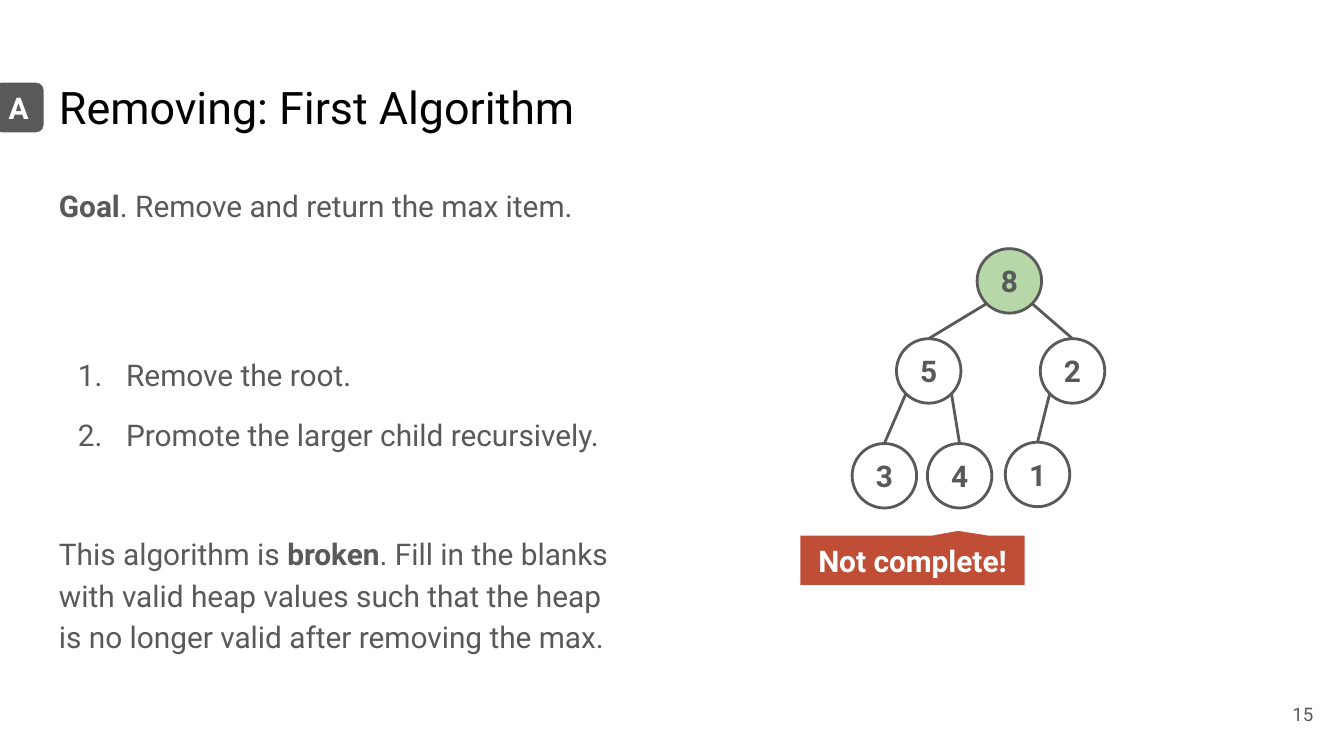
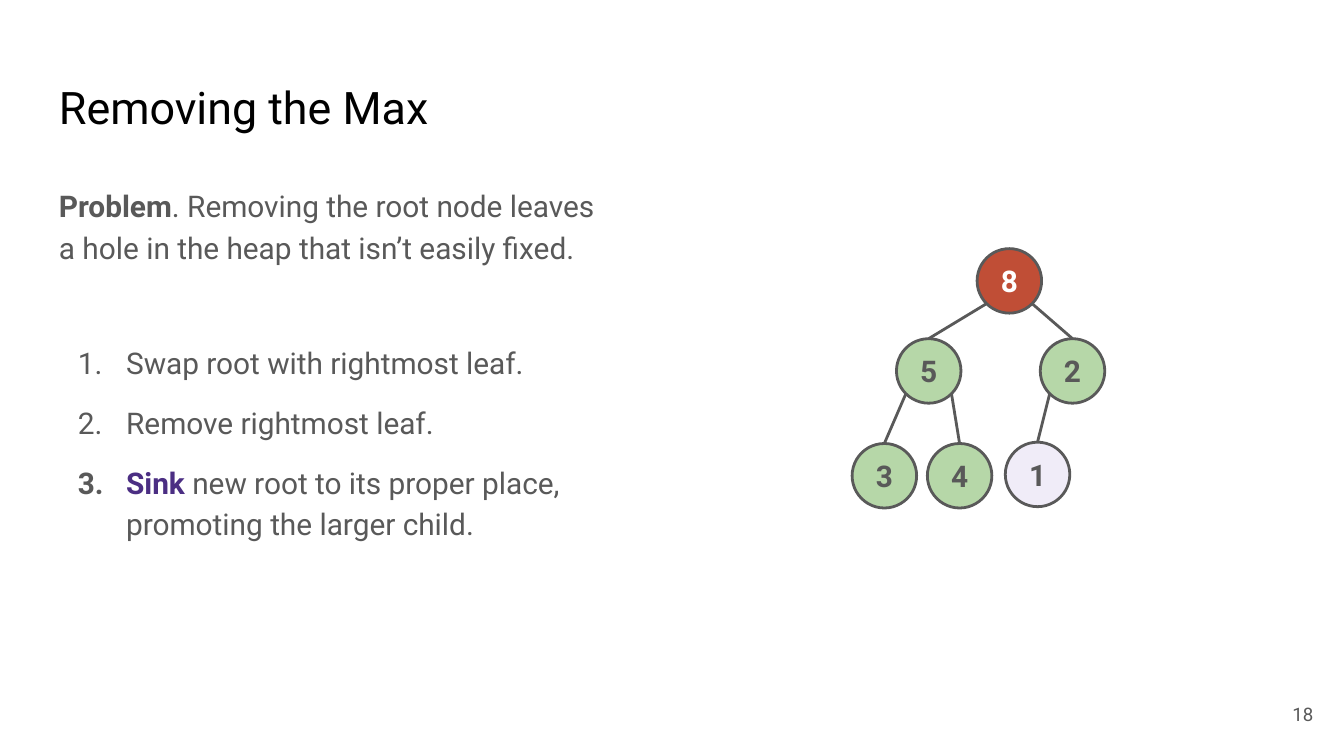
import dataclasses
import math

import lxml.etree
import pptx
import pptx.dml.color
import pptx.enum.shapes
import pptx.enum.text
import pptx.oxml.ns
import pptx.util

SHAPE = pptx.enum.shapes.MSO_SHAPE
ALIGN = pptx.enum.text.PP_ALIGN
ANCHOR = pptx.enum.text.MSO_ANCHOR


@dataclasses.dataclass(frozen=True)
class Theme:
    font: str = "Roboto"
    black: str = "000000"
    gray: str = "595959"
    white: str = "FFFFFF"
    green: str = "B6D7A8"
    red: str = "C04E36"
    purple: str = "4B2E83"
    lilac: str = "F0ECF8"
    title_size: int = 24
    body_size: int = 16
    footer_size: int = 10
    thin: float = 1.5
    thick: float = 2.25
    line_spacing: float = 1.15


@dataclasses.dataclass(frozen=True)
class Box:
    column: float
    row: float
    columns: float
    rows: float

    def inner(self, column, row, columns, rows):
        return Box(self.column + column, self.row + row, columns, rows)

    def emu(self):
        return [cells(value) for value in dataclasses.astuple(self)]


THEME = Theme()
GRID_COLUMNS, GRID_ROWS = 100, 56.25
TITLE = Box(3.4, 4.9, 43.2, 6.3)
BODY = Box(3.4, 12.6, 43.2, 37.4)
PAGE_NUMBER = Box(92.7, 51, 6, 4.3)
BADGE = Box(-0.6, 6, 4, 4)
TREE = Box(63.4, 18.5, 18.8, 19.3)
CALLOUT = Box(59.4, 39.7, 17, 4)

NODE_SIZE = 4.8
NODES = {
    "8": (9.3, 0),
    "5": (3.3, 6.7),
    "2": (14, 6.7),
    "3": (0, 14.5),
    "4": (5.6, 14.5),
    "1": (11.4, 14.4),
}
EDGES = [("8", "5", -1), ("8", "2", 1), ("5", "3", -1), ("5", "4", 1), ("2", "1", -1)]


def cells(count):
    return pptx.util.Inches(count / 10)


def rgb(value):
    return pptx.dml.color.RGBColor.from_string(value)


def apply(target, **values):
    for name, value in values.items():
        setattr(target, name, value)


def add_runs(paragraph, runs, size, color):
    for text, style in runs:
        run = paragraph.add_run()
        run.text = text
        apply(run.font, name=THEME.font, size=pptx.util.Pt(size), bold=style.get("bold", False))
        run.font.color.rgb = rgb(style.get("color", color))


def prepare_frame(shape, anchor):
    inset = cells(1)
    apply(
        shape.text_frame,
        word_wrap=True,
        vertical_anchor=anchor,
        margin_left=inset,
        margin_right=inset,
        margin_top=inset,
        margin_bottom=inset,
    )
    return shape.text_frame


def add_label(slide, box, text, size, color, align=ALIGN.LEFT, anchor=ANCHOR.TOP):
    frame = prepare_frame(slide.shapes.add_textbox(*box.emu()), anchor)
    frame.paragraphs[0].alignment = align
    add_runs(frame.paragraphs[0], [(text, {})], size, color)


def add_filled(shapes, kind, box, text, fill, color, line, line_width, adjustments=()):
    shape = shapes.add_shape(kind, *box.emu())
    shape.shadow.inherit = False
    for index, value in enumerate(adjustments):
        shape.adjustments[index] = value
    shape.fill.solid()
    shape.fill.fore_color.rgb = rgb(fill)
    shape.line.color.rgb = rgb(line)
    shape.line.width = pptx.util.Pt(line_width)
    paragraph = prepare_frame(shape, ANCHOR.MIDDLE).paragraphs[0]
    paragraph.alignment = ALIGN.CENTER
    add_runs(paragraph, [(text, {"bold": True})], THEME.body_size, color)


def number_paragraph(paragraph):
    properties = paragraph._p.get_or_add_pPr()
    properties.set("marL", str(pptx.util.Inches(0.5)))
    properties.set("indent", str(pptx.util.Inches(-0.36)))
    qualified = pptx.oxml.ns.qn
    color = lxml.etree.SubElement(properties, qualified("a:buClr"))
    lxml.etree.SubElement(color, qualified("a:srgbClr"), val=THEME.gray)
    lxml.etree.SubElement(properties, qualified("a:buAutoNum"), type="arabicPeriod")


def add_body(slide, box, paragraphs):
    frame = prepare_frame(slide.shapes.add_textbox(*box.emu()), ANCHOR.TOP)
    for index, (numbered, space_before, runs) in enumerate(paragraphs):
        paragraph = frame.add_paragraph() if index else frame.paragraphs[0]
        if numbered:
            number_paragraph(paragraph)
        apply(
            paragraph,
            line_spacing=THEME.line_spacing,
            space_before=pptx.util.Pt(space_before),
        )
        add_runs(paragraph, runs, THEME.body_size, THEME.gray)


def add_edge(shapes, start, end):
    points = [cells(value) for value in (*start, *end)]
    edge = shapes.add_connector(pptx.enum.shapes.MSO_CONNECTOR.STRAIGHT, *points)
    edge.line.color.rgb = rgb(THEME.gray)
    edge.line.width = pptx.util.Pt(THEME.thin)
    lxml.etree.SubElement(edge._element.spPr, pptx.oxml.ns.qn("a:effectLst"))


def add_tree(slide, box, node_fill, special_nodes):
    shapes = slide.shapes.add_group_shape().shapes
    boxes = {
        key: box.inner(column, row, NODE_SIZE, NODE_SIZE)
        for key, (column, row) in NODES.items()
    }
    radius = NODE_SIZE / 2
    reach = radius * math.sqrt(0.5)
    for parent, child, side in EDGES:
        upper, lower = boxes[parent], boxes[child]
        start = (upper.column + radius + side * reach, upper.row + radius + reach)
        add_edge(shapes, start, (lower.column + radius, lower.row))
    for key, node in boxes.items():
        fill, color = special_nodes.get(key, (node_fill, THEME.gray))
        add_filled(shapes, SHAPE.OVAL, node, key, fill, color, THEME.gray, THEME.thin)


def add_badge(slide, box, text):
    add_filled(slide.shapes, SHAPE.ROUNDED_RECTANGLE, box, text,
               THEME.gray, THEME.white, THEME.white, THEME.thick, [0.167])


def add_callout(slide, box, text):
    add_filled(slide.shapes, SHAPE.ROUNDED_RECTANGULAR_CALLOUT, box, text,
               THEME.red, THEME.white, THEME.white, THEME.thick, [0.2, -0.59, 0])


def add_heap_slide(presentation, title, page, paragraphs, node_fill, special_nodes):
    slide = presentation.slides.add_slide(presentation.slide_layouts[6])
    slide.background.fill.solid()
    slide.background.fill.fore_color.rgb = rgb(THEME.white)
    add_tree(slide, TREE, node_fill, special_nodes)
    add_label(slide, TITLE, title, THEME.title_size, THEME.black)
    add_body(slide, BODY, paragraphs)
    add_label(slide, PAGE_NUMBER, page, THEME.footer_size, THEME.gray,
              ALIGN.RIGHT, ANCHOR.MIDDLE)
    return slide


def main():
    presentation = pptx.Presentation()
    presentation.slide_width = cells(GRID_COLUMNS)
    presentation.slide_height = cells(GRID_ROWS)
    strong = {"bold": True}

    first = add_heap_slide(
        presentation, "Removing: First Algorithm", "15",
        [
            (False, 0, [("Goal", strong), (". Remove and return the max item.", {})]),
            (True, 68.3, [("Remove the root.", {})]),
            (True, 10, [("Promote the larger child recursively.", {})]),
            (False, 42, [
                ("This algorithm is ", {}),
                ("broken", strong),
                (". Fill in the blanks with valid heap values such that "
                 "the heap is no longer valid after removing the max.", {}),
            ]),
        ],
        THEME.white, {"8": (THEME.green, THEME.gray)},
    )
    add_badge(first, BADGE, "A")
    add_callout(first, CALLOUT, "Not complete!")

    add_heap_slide(
        presentation, "Removing the Max", "18",
        [
            (False, 0, [
                ("Problem", strong),
                (". Removing the root node leaves a hole in the heap "
                 "that isn’t easily fixed.", {}),
            ]),
            (True, 40, [("Swap root with rightmost leaf.", {})]),
            (True, 10, [("Remove rightmost leaf.", {})]),
            (True, 10, [
                ("Sink", {"bold": True, "color": THEME.purple}),
                (" new root to its proper place, promoting the larger child.", {}),
            ]),
        ],
        THEME.green,
        {"8": (THEME.red, THEME.white), "1": (THEME.lilac, THEME.gray)},
    )
    presentation.save("out.pptx")


if __name__ == "__main__":
    main()
